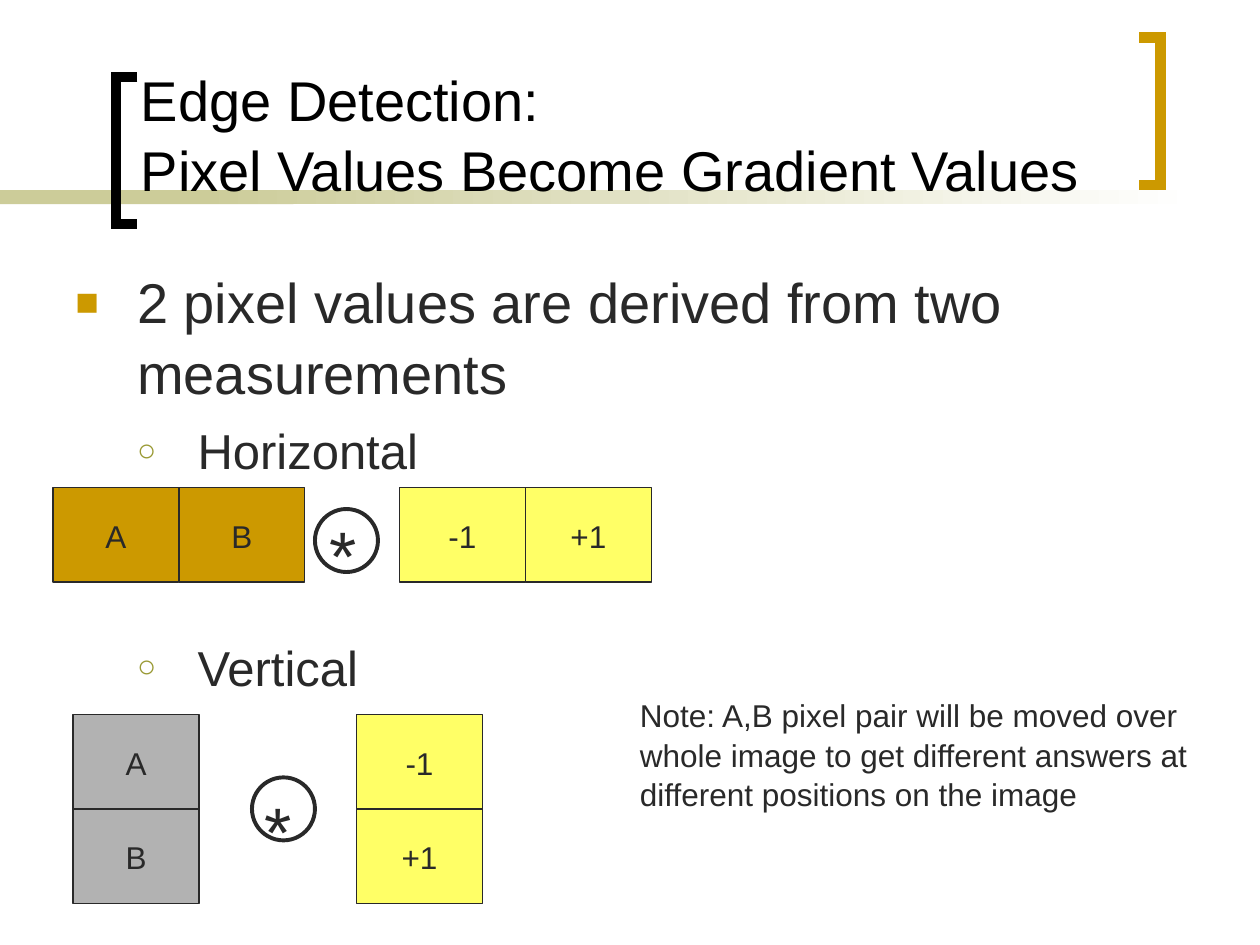
from lxml import etree
from pptx import Presentation
from pptx.dml import color
from pptx.enum import shapes, text
from pptx.oxml import ns
from pptx.util import Inches, Pt

INK, GOLD, SAND, LEMON, GREY = "292929", "CC9900", "CCCC99", "FFFF66", "B2B2B2"
KIND = shapes.MSO_SHAPE


def tint(code):
    """Turn a hex string into a colour."""
    return color.RGBColor.from_string(code)


def style(para, size, code=INK):
    """Format the runs and line pitch of a paragraph."""
    para.line_spacing = 1.05
    para.font.size = Pt(size)
    for run in para.runs:
        run.font.name = "Arial"
        run.font.size = Pt(size)
        run.font.color.rgb = tint(code)


def shape(slide, kind, box, fill=None, line=None, width=0.75):
    """Add a flat preset shape."""
    item = slide.shapes.add_shape(kind, *map(Inches, box))
    item.shadow.inherit = False
    if fill:
        item.fill.solid()
        item.fill.fore_color.rgb = tint(fill)
    else:
        item.fill.background()
    if line:
        item.line.color.rgb = tint(line)
        item.line.width = Pt(width)
    else:
        item.line.fill.background()
    return item


def label(slide, box, words, size, code=INK, wrap=False):
    """Add a text box and return its frame."""
    frame = slide.shapes.add_textbox(*map(Inches, box)).text_frame
    frame.word_wrap = wrap
    frame.text = words
    for para in frame.paragraphs:
        style(para, size, code)
    return frame


def bracket(slide, box, code, right=False):
    """Draw a square bracket that opens left or right."""
    x, y, w, h = box
    tip, back = (x, x + w) if right else (x + w, x)
    pts = [(Inches(a), Inches(b)) for a, b in
           ((tip, y), (back, y), (back, y + h), (tip, y + h))]
    pen = slide.shapes.build_freeform(*pts[0])
    pen.add_line_segments(pts[1:], close=False)
    item = pen.convert_to_shape()
    item.shadow.inherit = False
    item.fill.background()
    item.line.color.rgb = tint(code)
    item.line.width = Pt(6)
    etree.SubElement(item.line._get_or_add_ln(), ns.qn("a:miter"), lim="800000")


def header(slide, box):
    """Place the rule, the brackets and the title."""
    x, y, w, h = box
    shape(slide, KIND.RECTANGLE, (x, y + 1.51, 2.33, 0.11), SAND)
    fade = shape(slide, KIND.RECTANGLE, (x + 1.58, y + 1.51, w - 2.08, 0.11), SAND)
    fade.fill.gradient()
    fade.fill.gradient_angle = 0
    for stop, code, pos in zip(fade.fill.gradient_stops, (SAND, "FFFFFF"), (0, 1)):
        stop.color.rgb = tint(code)
        stop.position = pos
    bracket(slide, (x + 0.92, y + 0.61, 0.17, 1.17), "000000")
    bracket(slide, (x + w - 0.96, y + 0.3, 0.17, 1.17), GOLD, True)
    words = "Edge Detection:\vPixel Values Become Gradient Values"
    frame = label(slide, (x + 1.02, y + 0.11, 7.83, h - 0.23), words, 32, "000000", True)
    frame.vertical_anchor = text.MSO_ANCHOR.BOTTOM


def bullet(para, mark, code, scale, left, hang):
    """Give a paragraph a coloured bullet and a hanging indent."""
    props = para._p.get_or_add_pPr()
    props.set("marL", str(Inches(left)))
    props.set("indent", str(-Inches(hang)))
    hue = etree.SubElement(props, ns.qn("a:buClr"))
    etree.SubElement(hue, ns.qn("a:srgbClr"), val=code)
    etree.SubElement(props, ns.qn("a:buSzPct"), val=str(scale * 1000))
    etree.SubElement(props, ns.qn("a:buFont"), typeface="Arial")
    etree.SubElement(props, ns.qn("a:buChar"), char=mark)


def body(slide, box):
    """Place the bulleted list, with room left for the pixel rows."""
    words = "2 pixel values are derived from two measurements\nHorizontal\nVertical"
    frame = label(slide, box, words, 28, wrap=True)
    first, *rest = frame.paragraphs
    style(first, 32)
    first.space_before = Pt(8)
    bullet(first, "■", GOLD, 70, 0.49, 0.49)
    for para, gap in zip(rest, (7, 88.5)):
        para.level = 1
        para.space_before = Pt(gap)
        bullet(para, "○", "999933", 65, 0.97, 0.48)


def pair(slide, box, words, fill, down=False):
    """Place two touching cells, side by side or stacked."""
    x, y, w, h = box
    for i, word in enumerate(words):
        spot = (x, y + i * h, w, h) if down else (x + i * w, y, w, h)
        frame = shape(slide, KIND.RECTANGLE, spot, fill, INK).text_frame
        frame.word_wrap = False
        frame.vertical_anchor = text.MSO_ANCHOR.MIDDLE
        frame.text = word
        style(frame.paragraphs[0], 18)
        frame.paragraphs[0].alignment = text.PP_ALIGN.CENTER


def filter_row(slide, box, fill, step, ring, star, down=False):
    """Place a pixel pair, the operator and its kernel."""
    x, y, w, h = box
    pair(slide, box, ("A", "B"), fill, down)
    pair(slide, (x + step, y, w, h), ("-1", "+1"), LEMON, down)
    shape(slide, KIND.OVAL, (*ring, 0.5, 0.5), line=INK, width=2.25)
    label(slide, (*star, 0.41, 0.77), "*", 40)


def main():
    """Build and save the slide."""
    deck = Presentation()
    deck.slide_width, deck.slide_height = Inches(10), Inches(7.5)
    slide = deck.slides.add_slide(deck.slide_layouts[6])
    header(slide, (0, 0, 10, 1.78))
    body(slide, (0.5, 2.05, 9, 4.95))
    filter_row(slide, (0.42, 3.87, 1, 0.75), GOLD, 2.75, (2.5, 4.04), (2.52, 3.98))
    filter_row(slide, (0.58, 5.67, 1, 0.75), GREY, 2.25, (2, 6.17), (2, 6.17), True)
    note = ("Note: A,B pixel pair will be moved over\n"
            "whole image to get different answers at\n"
            "different positions on the image")
    label(slide, (4.98, 5.46, 4.62, 1), note, 18)
    deck.save("out.pptx")


if __name__ == "__main__":
    main()
